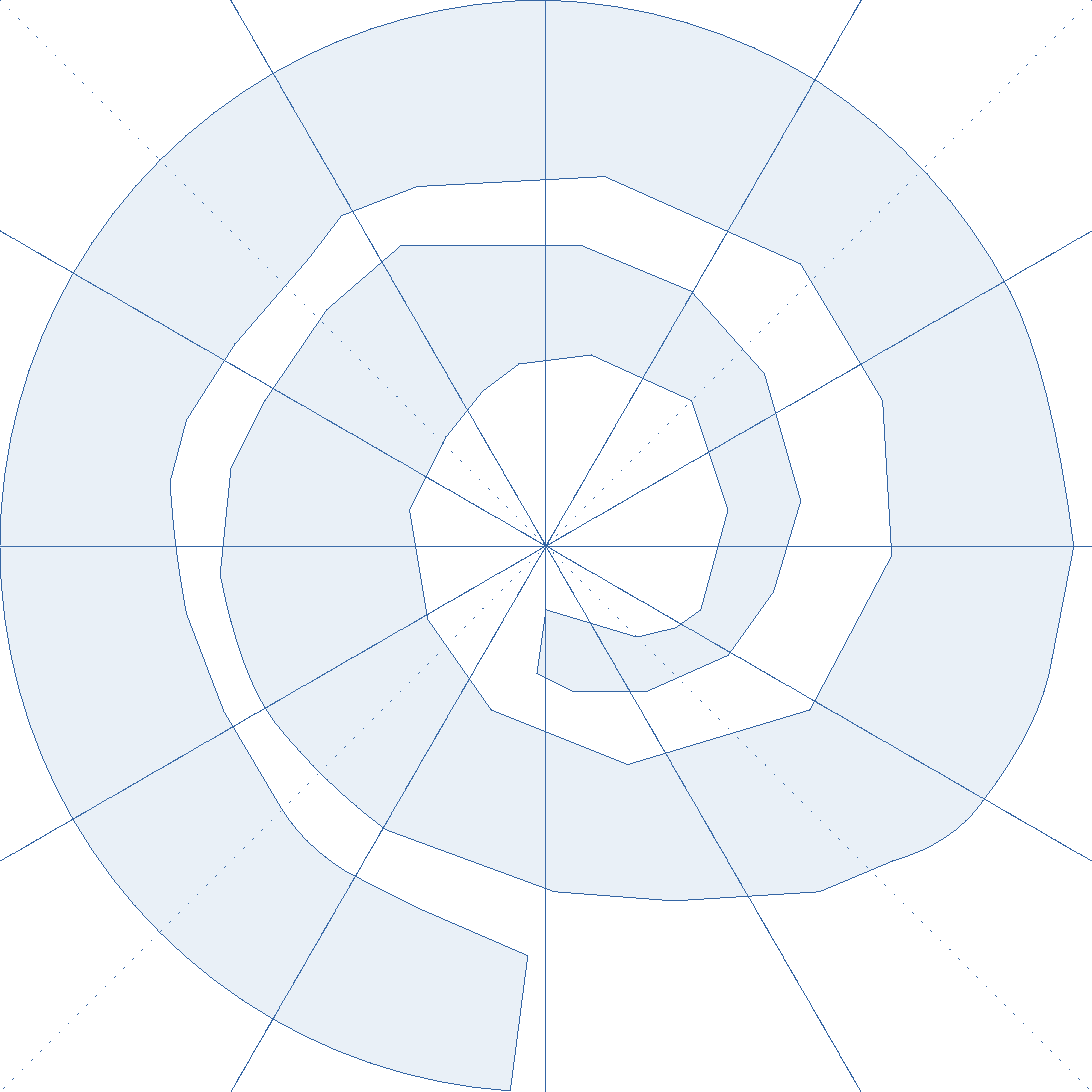
from math import cos, radians, sin

from lxml import etree
from pptx import Presentation
from pptx.dml.color import RGBColor
from pptx.enum.dml import MSO_LINE
from pptx.enum.shapes import MSO_CONNECTOR
from pptx.oxml.ns import qn
from pptx.util import Cm

STRAIGHT = MSO_CONNECTOR.STRAIGHT
DOT = MSO_LINE.ROUND_DOT
COLORS = {"line": "3465A4", "fill": "729FCF"}
SIDE = 30.48
UNITS = 12
OPEN = 15
BEND_STEPS = 8
RIM_STEP = 3.75
RIM_START, RIM_END = 93.75, 270

# A pair is a corner; a pair of pairs is a bend: its pull, then its end.
START = (10.8, 8.8)
OUTER_TURN = [
    ((10.47, 9.27), (9.81, 9.46)), (9, 9.8), (7.4, 9.9), (6.1, 9.8),
    (4.25, 9.12), ((3.57, 8.62), (3.01, 7.92)), ((2.64, 7.42), (2.42, 6.31)),
    (2.54, 5.13), (2.91, 4.4), (3.59, 3.4), (4.4, 2.7),
]
OUTER_CURL = [
    (6.4, 2.7), (7.6, 3.2), (8.4, 4.1), (8.8, 5.5), (8.5, 6.5),
    (8, 7.2), (7.1, 7.6), (6.3, 7.6), (5.9, 7.4),
]
INNER_CURL = [
    (6, 6.7), (7, 7), (7.42, 6.9), (7.7, 6.7), (8, 5.6), (7.6, 4.4),
    (6.5, 3.9), (5.7, 4), (5.3, 4.3), (4.9, 4.8), (4.5, 5.6),
]
INNER_TURN = [
    (4.7, 6.8), (5.4, 7.8), (6.9, 8.4), (8.9, 7.8), (9.8, 6.1),
    (9.7, 4.4), (8.8, 2.9), (6.65, 1.94), (4.58, 2.05), (3.75, 2.37),
    (3.39, 2.84), (2.58, 3.78), (2.05, 4.61), (1.87, 5.29),
    ((1.91, 6.01), (2.05, 6.74)), (2.46, 7.81), (3.07, 8.84),
    ((3.32, 9.27), (3.81, 9.58)), (4.6, 9.98), (5.8, 10.5),
]
RIGHT_SIDE = [
    ((7.6, 0.05), (9, 0.9)), ((10.33, 1.77), (11.1, 3.2)),
    ((11.56, 4.11), (11.8, 6)), (11.56, 7.24), ((11.45, 7.95), START),
]


def bend(start, pull, end):
    for step in range(1, BEND_STEPS + 1):
        t = step / BEND_STEPS
        yield tuple((1 - t) ** 2 * a + 2 * t * (1 - t) * b + t * t * c
                    for a, b, c in zip(start, pull, end))


def trace(start, edge):
    points = [start]
    for knot in edge:
        if isinstance(knot[0], tuple):
            points.extend(bend(points[-1], *knot))
        else:
            points.append(knot)
    return points[1:]


def rim():
    mid = UNITS / 2
    count = round((RIM_END - RIM_START) / RIM_STEP)
    turns = [radians(RIM_START + RIM_STEP * n) for n in range(count + 1)]
    return [(mid + mid * cos(turn), mid + mid * sin(turn)) for turn in turns]


def outline():
    points = [START]
    for edge in (OUTER_TURN, OUTER_CURL, INNER_CURL, INNER_TURN,
                 rim(), RIGHT_SIDE):
        points += trace(points[-1], edge)
    return points[:-1]


def color(name):
    return RGBColor.from_string(COLORS[name])


def hairline(shape):
    shape.line.color.rgb = color("line")
    stroke = shape._element.spPr.find(qn("a:ln"))
    stroke.set("w", "0")
    return stroke


def add_spokes(shapes, box, angles, gap=None):
    left, top, side = box
    half = side / 2
    mid_x, mid_y = left + half, top + half
    group = shapes.add_group_shape().shapes
    for angle in angles:
        x, y = cos(radians(angle)), sin(radians(angle))
        reach = half / max(abs(x), abs(y))
        x, y = x * reach, y * reach
        spoke = group.add_connector(
            STRAIGHT, Cm(mid_x - x), Cm(mid_y - y),
            Cm(mid_x + x), Cm(mid_y + y))
        stroke = hairline(spoke)
        if gap:
            dash = etree.SubElement(stroke, qn("a:custDash"))
            etree.SubElement(dash, qn("a:ds"), d="100000", sp=str(gap * 1000))
        else:
            spoke.line.dash_style = DOT
        etree.SubElement(spoke._element.spPr, qn("a:effectLst"))


def add_spiral(shapes, box):
    left, top, side = box
    unit = side / UNITS
    points = [(Cm(x * unit), Cm(y * unit)) for x, y in outline()]
    band = shapes.build_freeform(*points[0])
    band.add_line_segments(points[1:], close=True)
    spiral = band.convert_to_shape(Cm(left), Cm(top))
    spiral.shadow.inherit = False
    spiral.fill.solid()
    spiral.fill.fore_color.rgb = color("fill")
    tint = spiral._element.spPr.find(qn("a:solidFill"))[0]
    etree.SubElement(tint, qn("a:alpha"), val=str(OPEN * 1000))
    hairline(spiral)


def main():
    deck = Presentation()
    deck.slide_width = deck.slide_height = Cm(SIDE)
    slide = deck.slides.add_slide(deck.slide_layouts[6])
    box = (0, 0, SIDE)
    add_spokes(slide.shapes, box, (45, 135), gap=1250)
    add_spokes(slide.shapes, box, range(0, 180, 30))
    add_spiral(slide.shapes, box)
    deck.save("out.pptx")


if __name__ == "__main__":
    main()
